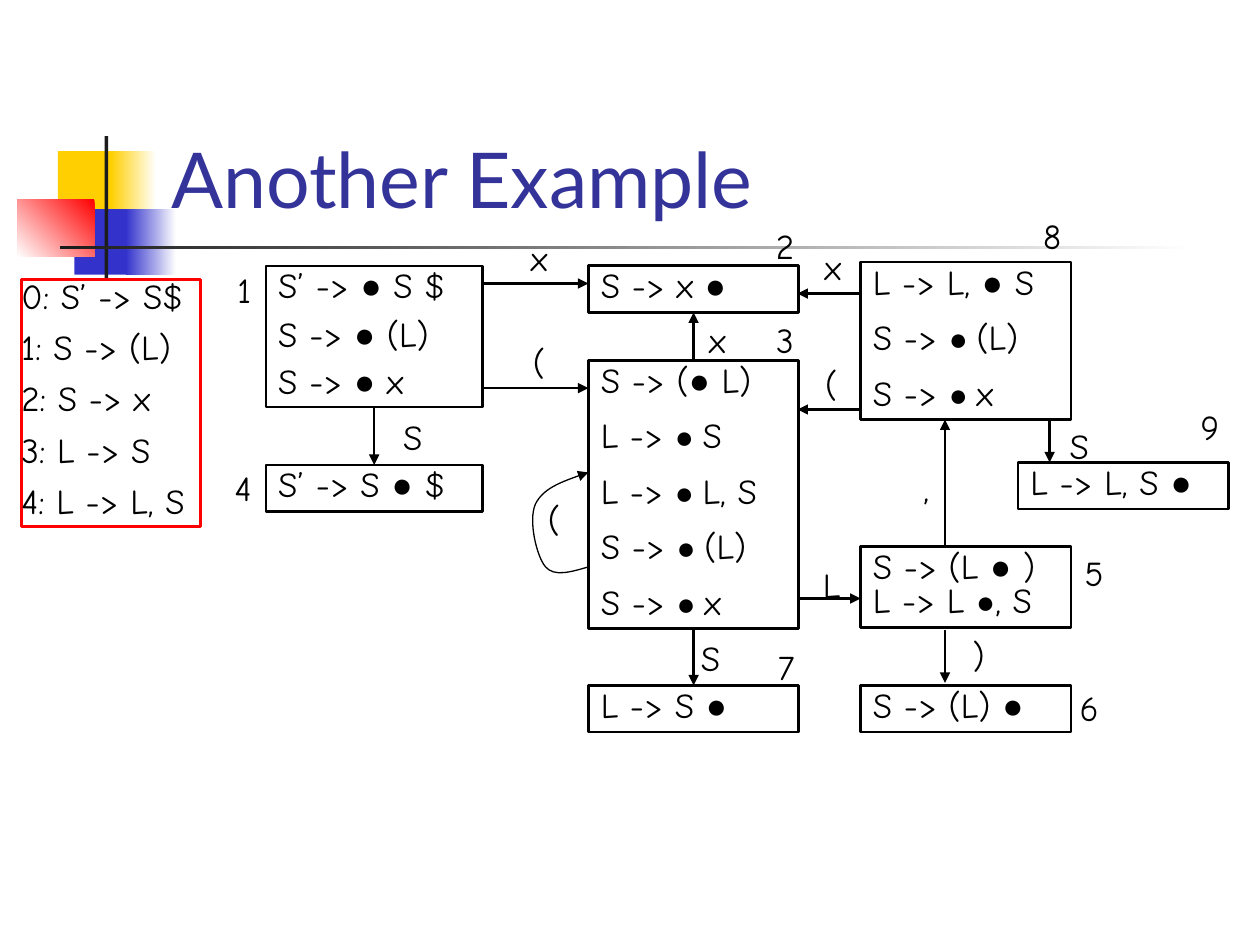
from pptx import Presentation
from pptx.dml.color import RGBColor
from pptx.enum.shapes import MSO_CONNECTOR, MSO_SHAPE
from pptx.enum.text import MSO_ANCHOR, PP_ALIGN
from pptx.oxml.ns import qn
from pptx.util import Inches, Pt
from lxml.etree import SubElement

BLACK = RGBColor(0x00, 0x00, 0x00)
WHITE = RGBColor(0xFF, 0xFF, 0xFF)
RED = RGBColor(0xFF, 0x00, 0x00)
YELLOW = RGBColor(0xFF, 0xCF, 0x01)
BLUE = RGBColor(0x33, 0x33, 0xCC)
NAVY = RGBColor(0x33, 0x33, 0x99)
CHARCOAL = RGBColor(0x1C, 0x1C, 0x1C)
HAND, DOT, TITLE = "Comic Neue", "Arial", "Lato"

STATES = {
    1: ((2.11, 2.11, 1.72, 1.12), ["S’ -> |●| S $", "S -> |●| (L)", "S -> |●| x"], (-0.34, -0.03)),
    2: ((4.67, 2.11, 1.67, 0.37), ["S -> x |●"], (1.39, -0.38)),
    3: ((4.67, 2.86, 1.67, 2.13),
        ["S -> (|●| L)", "L -> |~● |S", "L -> |~● |L, S", "S -> |~● |(L)", "S -> |~● |x"],
        (1.39, -0.38)),
    4: ((2.11, 3.69, 1.72, 0.37), ["S’ -> S |●| $"], (-0.35, -0.04)),
    5: ((6.83, 4.34, 1.67, 0.64), ["S -> (L |●| )\vL -> L |~●|, S"], (1.68, -0.01)),
    6: ((6.83, 5.44, 1.67, 0.37), ["S -> (L) |●"], (1.64, -0.04)),
    7: ((4.67, 5.44, 1.67, 0.37), ["L -> S |●"], (1.4, -0.37)),
    8: ((6.83, 2.08, 1.67, 1.25), ["L -> L, |●| S", "S -> |~● |(L)", "S -> |~● |x"], (1.35, -0.43)),
    9: ((8.08, 3.67, 1.67, 0.37), ["L -> L, S |●"], (1.35, -0.5)),
}
VERTICAL_LINKS = [
    (1, 2, 4, 0, "S", (0.13, 0.02)),
    (3, 0, 2, 2, "x", (0.02, -0.38)),
    (3, 2, 7, 0, "S", (-0.04, 0.01)),
]
FREE_LINKS = [
    ((3.83, 2.25), (4.67, 2.25), "x", (0.28, -0.42)),
    ((3.83, 3.08), (4.67, 3.08), "(", (0.3, -0.43)),
    ((6.33, 4.75), (6.83, 4.75), "L", (0.1, -0.33)),
    ((6.83, 2.33), (6.33, 2.33), "x", (-0.39, -0.43)),
    ((6.83, 3.25), (6.33, 3.25), "(", (-0.38, -0.42)),
    ((7.5, 4.33), (7.5, 3.33), ",", (-0.27, -0.68)),
    ((7.5, 5), (7.5, 5.42), ")", (0.12, -0.02)),
    ((8.33, 3.33), (8.33, 3.67), "S", (0.06, -0.01)),
]
LABEL_WIDTHS = {"S": 0.35, "(": 0.29, ")": 0.29, ",": 0.24}


def add_run(p, text, size=20, font=HAND, color=BLACK):
    """Add one formatted run to a paragraph."""
    r = p.add_run()
    r.text = text
    r.font.size, r.font.name = Pt(size), font
    r.font.color.rgb = color


def add_rect(s, box):
    """Add a plain rectangle without shadow, fill or line."""
    sp = s.shapes.add_shape(MSO_SHAPE.RECTANGLE, *map(Inches, box))
    sp.shadow.inherit = False
    sp.fill.background()
    sp.line.fill.background()
    return sp


def add_rules(s, box, lines, spacings, color=BLACK, inset=0.1):
    """Add an outlined box of grammar rules, with runs separated by bars."""
    sp = add_rect(s, box)
    sp.line.color.rgb, sp.line.width = color, Pt(1.5)
    tf = sp.text_frame
    tf.word_wrap, tf.vertical_anchor = True, MSO_ANCHOR.TOP
    tf.margin_left = tf.margin_right = Inches(inset)
    for i, (line, spacing) in enumerate(zip(lines, spacings)):
        p = tf.add_paragraph() if i else tf.paragraphs[0]
        p.alignment, p.line_spacing = PP_ALIGN.LEFT, spacing
        if i:
            p.space_before = Pt(12.5)
        for piece in line.split("|"):
            if "●" in piece:
                add_run(p, piece.lstrip("~"), 18 if piece[0] == "~" else 20, DOT)
                continue
            for j, part in enumerate(piece.split("\v")):
                if j:
                    p.add_line_break()
                add_run(p, part)
    return sp


def add_label(s, x, y, text):
    """Add a small centred label whose box starts at x, y."""
    width = LABEL_WIDTHS.get(text, 0.34)
    tf = s.shapes.add_textbox(Inches(x), Inches(y), Inches(width), Inches(0.44)).text_frame
    tf.word_wrap = False
    tf.paragraphs[0].alignment = PP_ALIGN.CENTER
    add_run(tf.paragraphs[0], text)


def add_head(shape, width):
    """Give a line its colour, width and end arrowhead."""
    shape.line.color.rgb, shape.line.width = BLACK, Pt(width)
    SubElement(shape.line._get_or_add_ln(), qn("a:tailEnd"), type="triangle")


def add_arrow(s, start, end):
    """Add a straight arrow from start to end."""
    c = s.shapes.add_connector(MSO_CONNECTOR.STRAIGHT, *map(Inches, start + end))
    add_head(c, 1.5)
    SubElement(c._element.spPr, qn("a:effectLst"))
    return c


def add_loop(s, x, y):
    """Add the curved self transition on the left side of the box at x, y."""
    offsets = [(0, 1.64), (-0.14, 1.68), (-0.27, 1.72), (-0.34, 1.64), (-0.41, 1.56),
               (-0.48, 1.27), (-0.42, 1.14), (-0.36, 1.02), (-0.18, 0.95), (0, 0.89)]
    points = [(Inches(x + dx), Inches(y + dy)) for dx, dy in offsets]
    fb = s.shapes.build_freeform(*points[0])
    fb.add_line_segments(points[1:], close=False)
    sp = fb.convert_to_shape()
    sp.shadow.inherit = False
    sp.fill.background()
    add_head(sp, 0.75)
    segments = sp._element.xpath(".//a:lnTo")
    outline = segments[0].getparent()
    for i in range(0, len(segments), 3):
        curve = SubElement(outline, qn("a:cubicBezTo"))
        for segment in segments[i:i + 3]:
            curve.append(segment[0])
            outline.remove(segment)
    add_label(s, x - 0.42, y + 1.04, "(")


def add_ornament(s, x, y):
    """Add the coloured squares and the crossing bars from x, y."""
    parts = [
        ((0.32, 0.12, 0.48, 0.52), [YELLOW], 0),
        ((0.74, 0.12, 0.36, 0.52), [WHITE, YELLOW], 180),
        ((0.45, 0.58, 0.46, 0.52), [BLUE], 0),
        ((0.86, 0.58, 0.4, 0.52), [WHITE, BLUE], 180),
        ((0, 0.5, 0.61, 0.46), [RED, WHITE], 225),
        ((0.69, 0, 0.03, 1.15), [CHARCOAL], 0),
        ((0.34, 0.87, 9, 0.03), [WHITE, CHARCOAL], 180),
    ]
    for (dx, dy, w, h), colors, angle in parts:
        fill = add_rect(s, (x + dx, y + dy, w, h)).fill
        if len(colors) == 1:
            fill.solid()
            fill.fore_color.rgb = colors[0]
            continue
        fill.gradient()
        fill.gradient_angle = angle
        for stop, position, color in zip(fill.gradient_stops, (0, 1), colors):
            stop.position, stop.color.rgb = position, color


def add_title(s, box, text):
    """Add the slide title at the bottom of its box."""
    tf = s.shapes.add_textbox(*map(Inches, box)).text_frame
    tf.word_wrap, tf.vertical_anchor = True, MSO_ANCHOR.BOTTOM
    add_run(tf.paragraphs[0], text, 44, TITLE, NAVY)


def add_automaton(s):
    """Add the numbered states and the transitions between them."""
    boxes = {}
    for number, (box, lines, (dx, dy)) in STATES.items():
        spacings = [0.8, 0.6, 0.6] if number == 1 else [0.8] * len(lines)
        boxes[number] = add_rules(s, box, lines, spacings)
        add_label(s, box[0] + dx, box[1] + dy, str(number))
    for source, out_side, target, in_side, text, (dx, dy) in VERTICAL_LINKS:
        c = add_arrow(s, (0, 0), (0, 0))
        c.begin_connect(boxes[source], out_side)
        c.end_connect(boxes[target], in_side)
        add_label(s, c.begin_x / Inches(1) + dx, c.begin_y / Inches(1) + dy, text)
    for start, end, text, (dx, dy) in FREE_LINKS:
        add_arrow(s, start, end)
        add_label(s, start[0] + dx, start[1] + dy, text)
    add_loop(s, *STATES[3][0][:2])


def main():
    """Build the slide and save it."""
    prs = Presentation()
    prs.slide_width, prs.slide_height = Inches(10), Inches(7.5)
    s = prs.slides.add_slide(prs.slide_layouts[6])
    add_ornament(s, 0.14, 1.08)
    add_title(s, (1.26, 0.23, 8.52, 1.6), "Another Example")
    grammar = ["0: S’ -> S$", "1: S -> (L)", "2: S -> x", "3: L -> S", "4: L -> L, S"]
    add_rules(s, (0.17, 2.22, 1.42, 1.96), grammar, [0.7] * len(grammar), RED, 0)
    add_automaton(s)
    prs.save("out.pptx")


if __name__ == "__main__":
    main()
